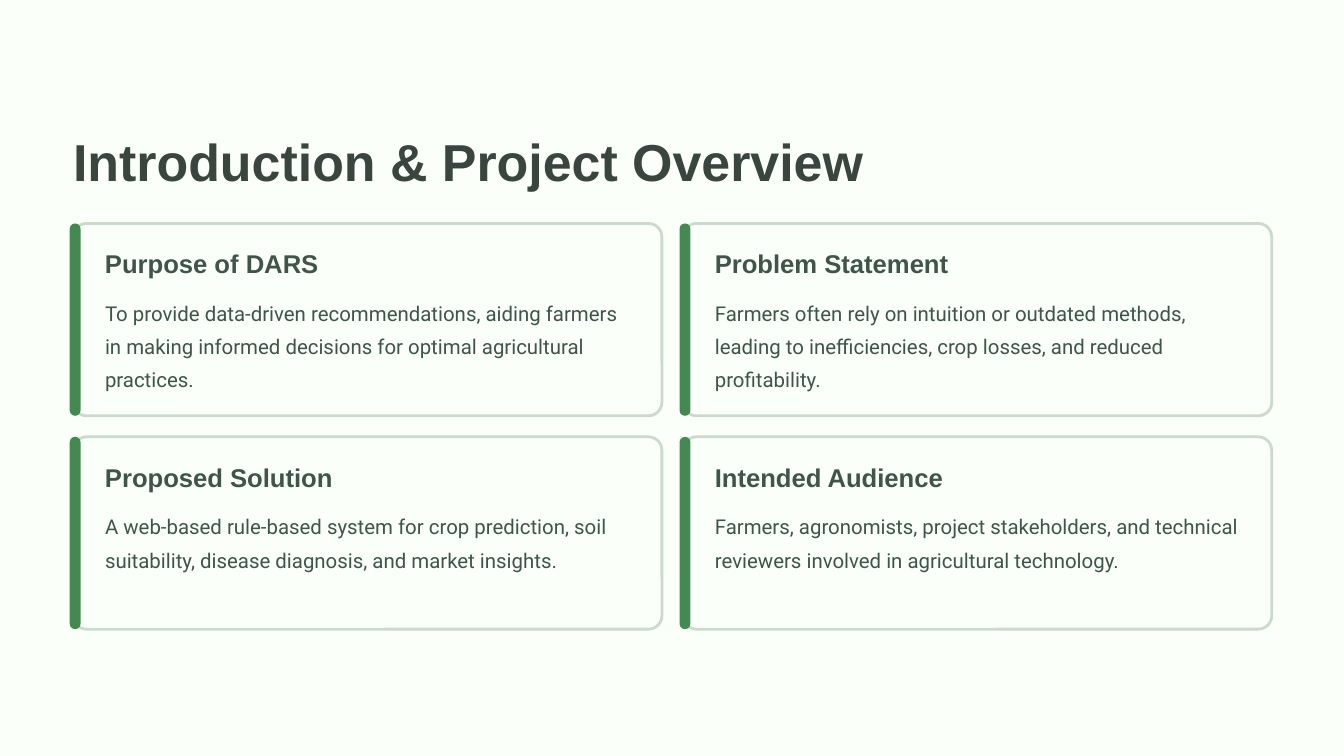
import pptx
import pptx.util
import pptx.dml.color
import pptx.enum.shapes

RGBColor = pptx.dml.color.RGBColor
Inches, Pt = pptx.util.Inches, pptx.util.Pt

PALE = RGBColor(0xFA, 0xFF, 0xFA)
BORDER = RGBColor(0xCE, 0xD9, 0xCE)
GREEN = RGBColor(0x43, 0x89, 0x51)
TITLE = RGBColor(0x3B, 0x45, 0x40)
BODY = RGBColor(0x40, 0x54, 0x49)

# Card grid, in inches
LEFT, TOP = 0.87, 2.66
CARD_W, CARD_H = 7.01, 2.29
GAP = 0.25
COLUMNS = 2
BAR_W, BAR_OUTSET = 0.13, 0.04
PAD_X, HEADING_Y, BODY_Y = 0.38, 0.28, 0.82

CARDS = [
    ("Purpose of DARS",
     "To provide data-driven recommendations, aiding farmers in making "
     "informed decisions for optimal agricultural practices."),
    ("Problem Statement",
     "Farmers often rely on intuition or outdated methods, leading to "
     "inefficiencies, crop losses, and reduced profitability."),
    ("Proposed Solution",
     "A web-based rule-based system for crop prediction, soil suitability, "
     "disease diagnosis, and market insights."),
    ("Intended Audience",
     "Farmers, agronomists, project stakeholders, and technical reviewers "
     "involved in agricultural technology."),
]


def add_text(box, text, font, size, color, spacing, bold=False, wrap=False):
    """Add a text box without margins; box is left, top, width, height."""
    tf = s.shapes.add_textbox(*map(Inches, box)).text_frame
    tf.margin_left = tf.margin_right = tf.margin_top = tf.margin_bottom = 0
    tf.word_wrap = wrap
    tf.text = text
    p = tf.paragraphs[0]
    p.line_spacing = Pt(spacing)
    r = p.runs[0]
    r.font.name, r.font.size, r.font.bold = font, Pt(size), bold
    r.font.color.rgb = color


def add_rounded(box, radius, fill, line=None):
    """Add a rounded rectangle; radius is a share of its shorter side."""
    sp = s.shapes.add_shape(
        pptx.enum.shapes.MSO_SHAPE.ROUNDED_RECTANGLE, *map(Inches, box))
    sp.adjustments[0] = radius
    sp.shadow.inherit = False
    sp.fill.solid()
    sp.fill.fore_color.rgb = fill
    if line is None:
        sp.line.fill.background()
    else:
        sp.line.color.rgb = line
        sp.line.width = Pt(2.4)


prs = pptx.Presentation()
prs.slide_width, prs.slide_height = Inches(16), Inches(9)
s = prs.slides.add_slide(prs.slide_layouts[6])
s.background.fill.solid()
s.background.fill.fore_color.rgb = PALE

add_text((LEFT, 1.51, 10.26, 0.78), "Introduction & Project Overview",
         "Arial", 44.5, TITLE, 55.5, bold=True)

for i, (heading, body) in enumerate(CARDS):
    row, col = divmod(i, COLUMNS)
    x = LEFT + col * (CARD_W + GAP)
    y = TOP + row * (CARD_H + GAP)
    add_rounded((x, y, CARD_W, CARD_H), 0.07, PALE, BORDER)
    add_rounded((x - BAR_OUTSET, y, BAR_W, CARD_H), 0.5, GREEN)
    add_text((x + PAD_X, y + HEADING_Y, 3.1, 0.39), heading,
             "Arial", 22, BODY, 27.5, bold=True)
    add_text((x + PAD_X, y + BODY_Y, 6.35, 1.19), body,
             "Roboto", 17.5, BODY, 28.5, wrap=True)

prs.save("out.pptx")
